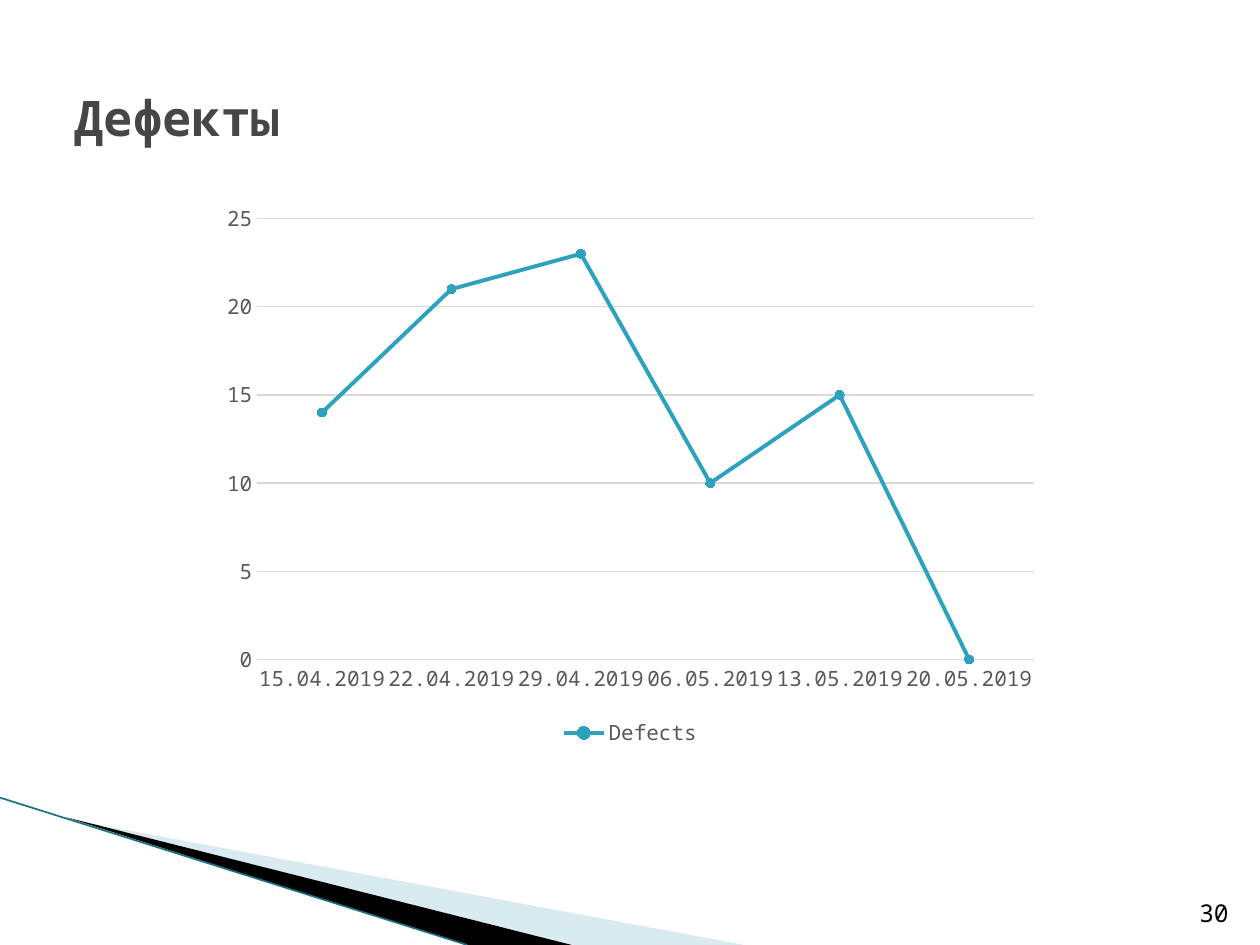
from lxml.etree import SubElement
from pptx import Presentation
from pptx.chart.data import CategoryChartData
from pptx.dml.color import RGBColor
from pptx.enum.chart import (XL_CHART_TYPE, XL_LEGEND_POSITION,
                             XL_MARKER_STYLE, XL_TICK_MARK)
from pptx.enum.shapes import MSO_CONNECTOR
from pptx.enum.text import MSO_ANCHOR, PP_ALIGN
from pptx.oxml.ns import qn
from pptx.util import Cm, Pt

# Content
TITLE = "Дефекты"
PAGE = "30"
SERIES = "Defects"
DATA = [("15.04.2019", 14), ("22.04.2019", 21), ("29.04.2019", 23),
        ("06.05.2019", 10), ("13.05.2019", 15), ("20.05.2019", 0)]

# Look: lengths in cm
FONT = "Noto Sans Mono"
TEAL, GREY, GRID = "2DA2BF", "595959", "D9D9D9"
WEDGES = [  # colour, opacity in percent, corners
    ("A0CBDC", 40, [(1.4, 16.52), (15, 19.05), (11.58, 19.05)]),
    ("000000", 100, [(1.35, 16.48), (11.53, 19.05), (9.4, 19.05)]),
]
EDGE = (0, 16.08, 9.42, 19.05)
TITLE_BOX = (1.27, 0.76, 22.86, 3.18)
PAGE_BOX = (23.7, 17.81, 1.32, 1.02)
CHART_BOX = (4.24, 3.89, 16.94, 11.28)


def cms(vals):
    return [Cm(v) for v in vals]


def paint(fmt, hue):
    """Give a fill or a font one solid colour."""
    if hasattr(fmt, "solid"):
        fmt.solid()
        fmt.fore_color.rgb = RGBColor.from_string(hue)
    else:
        fmt.color.rgb = RGBColor.from_string(hue)


def style(font, size, hue, bold=False):
    font.name, font.size, font.bold = FONT, Pt(size), bold
    paint(font, hue)


def stroke(line, hue, width):
    paint(line.fill, hue)
    line.width = Pt(width)


def write(frame, text, size, hue, bold=False, align=PP_ALIGN.LEFT):
    par = frame.paragraphs[0]
    par.alignment = align
    run = par.add_run()
    run.text = text
    style(run.font, size, hue, bold)


def wedge(slide, hue, alpha, points):
    first, *rest = [cms(p) for p in points]
    pen = slide.shapes.build_freeform(*first)
    pen.add_line_segments(rest, close=True)
    shape = pen.convert_to_shape()
    shape.shadow.inherit = False
    paint(shape.fill, hue)
    shape.line.fill.background()
    if alpha < 100:
        tint = shape._element.spPr.find(".//" + qn("a:srgbClr"))
        SubElement(tint, qn("a:alpha"), val=str(alpha * 1000))


def plot(slide):
    data = CategoryChartData()
    data.categories = [day for day, _ in DATA]
    data.add_series(SERIES, [num for _, num in DATA])
    chart = slide.shapes.add_chart(
        XL_CHART_TYPE.LINE_MARKERS, *cms(CHART_BOX), data).chart
    style(chart.font, 10, "000000")
    chart.has_title = False

    # Axes and legend
    days, nums = chart.category_axis, chart.value_axis
    for axis in (days, nums):
        axis.major_tick_mark = axis.minor_tick_mark = XL_TICK_MARK.NONE
        style(axis.tick_labels.font, 12, GREY)
    stroke(days.format.line, GRID, 0.75)
    nums.format.line.fill.background()
    nums.has_major_gridlines = True
    stroke(nums.major_gridlines.format.line, GRID, 0.75)
    nums.minimum_scale, nums.maximum_scale, nums.major_unit = 0, 25, 5
    chart.has_legend = True
    chart.legend.position = XL_LEGEND_POSITION.BOTTOM
    chart.legend.include_in_layout = False
    style(chart.legend.font, 12, GREY)

    # Series
    chart.plots[0].vary_by_categories = False
    line = chart.plots[0].series[0]
    line.smooth = False
    stroke(line.format.line, TEAL, 2.25)
    mark = line.marker
    mark.style, mark.size = XL_MARKER_STYLE.CIRCLE, 5
    paint(mark.format.fill, TEAL)
    stroke(mark.format.line, TEAL, 0.75)


def main():
    prs = Presentation()
    prs.slide_width, prs.slide_height = cms((25.4, 19.05))
    slide = prs.slides.add_slide(prs.slide_layouts[5])

    # Corner decoration
    for item in WEDGES:
        wedge(slide, *item)
    edge = slide.shapes.add_connector(MSO_CONNECTOR.STRAIGHT, *cms(EDGE))
    stroke(edge.line, "1A7085", 0.95)
    SubElement(edge._element.spPr, qn("a:effectLst"))

    # Title
    title = slide.shapes.title
    title.left, title.top, title.width, title.height = cms(TITLE_BOX)
    frame = title.text_frame
    frame.vertical_anchor = MSO_ANCHOR.MIDDLE
    frame.margin_left = frame.margin_right = Cm(0.23)
    frame.margin_top = frame.margin_bottom = Cm(0.1)
    write(frame, TITLE, 28, "464646", bold=True)

    # Page number
    frame = slide.shapes.add_textbox(*cms(PAGE_BOX)).text_frame
    frame.word_wrap = True
    frame.vertical_anchor = MSO_ANCHOR.BOTTOM
    write(frame, PAGE, 14, "000000", align=PP_ALIGN.RIGHT)

    plot(slide)
    prs.save("out.pptx")


if __name__ == "__main__":
    main()
